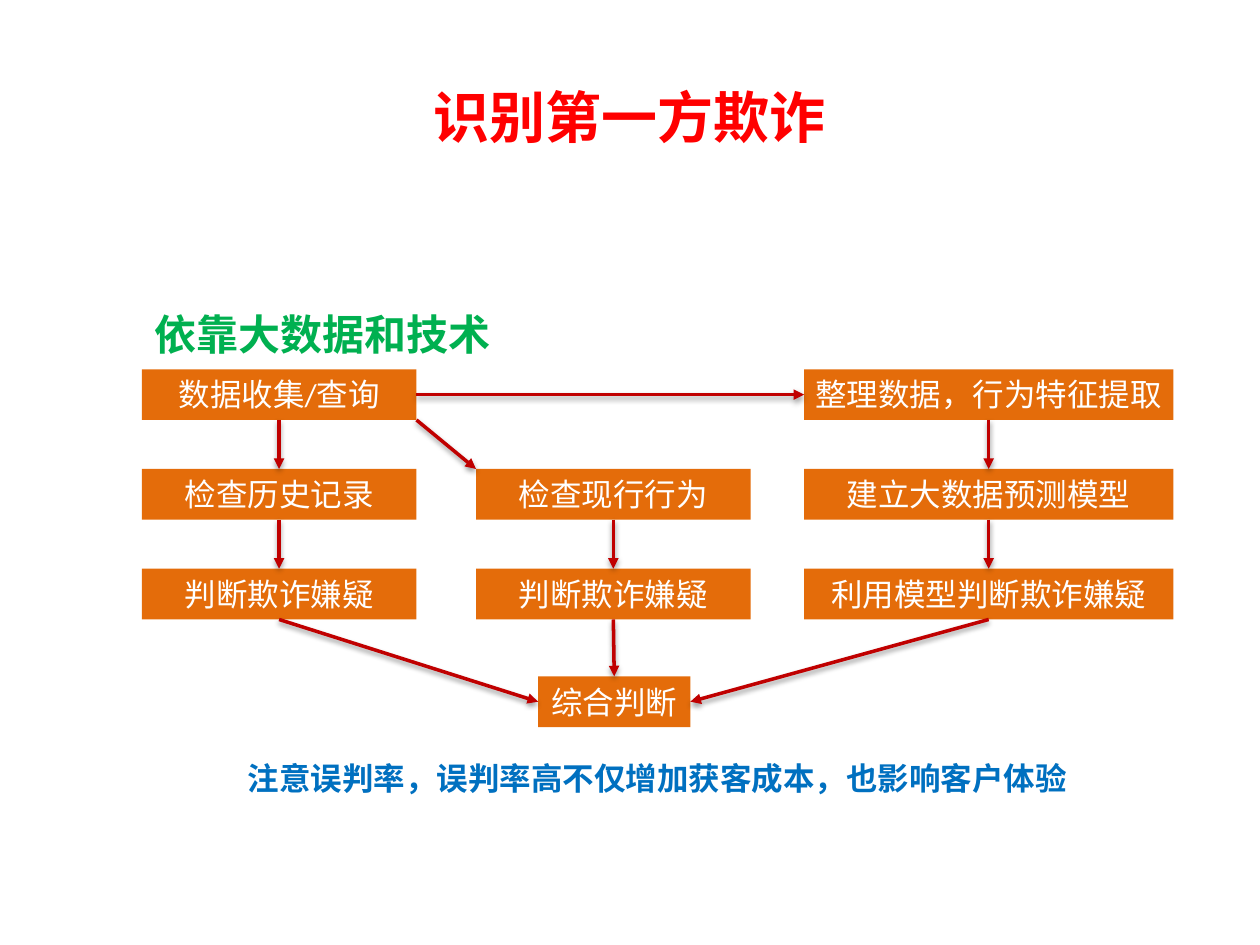
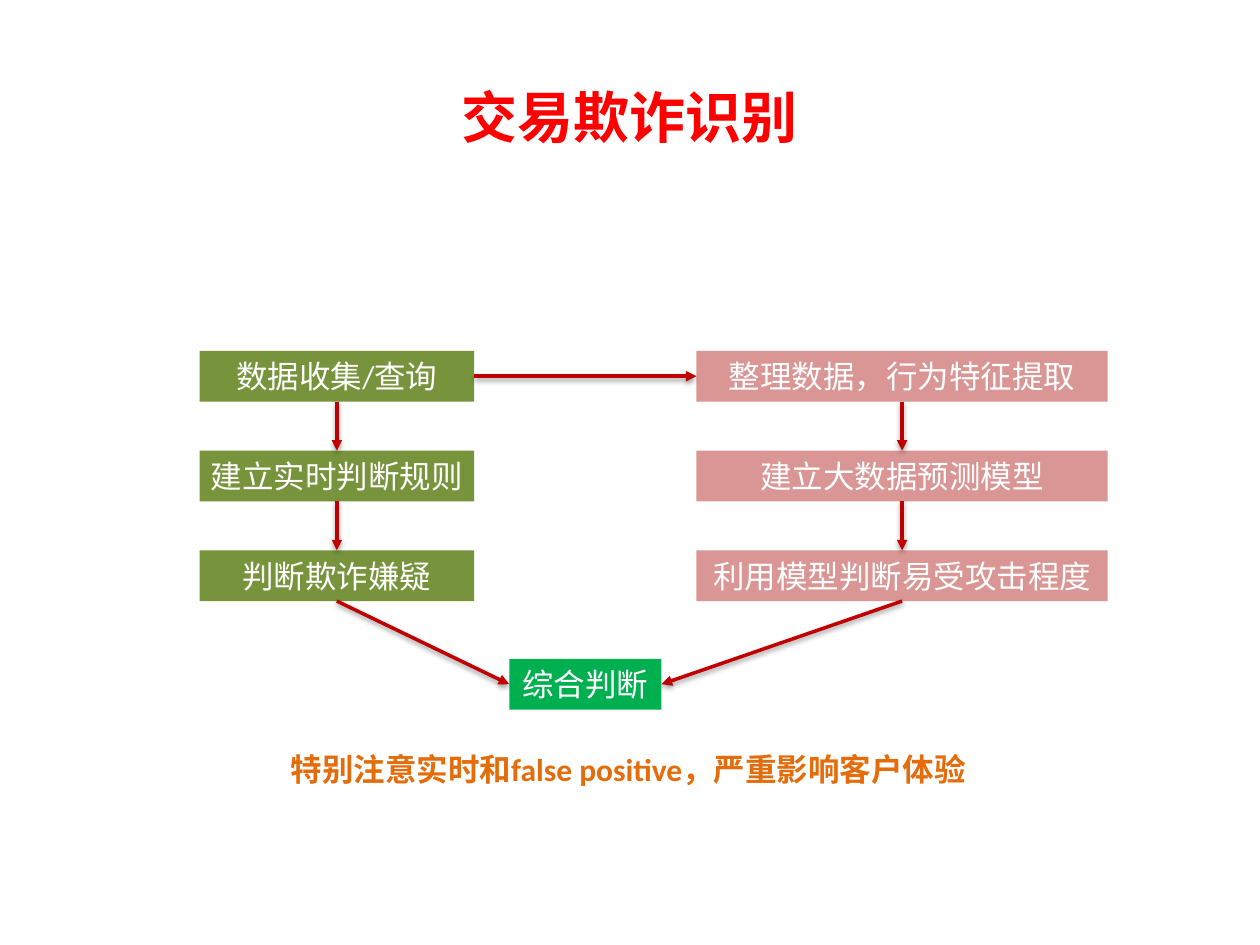
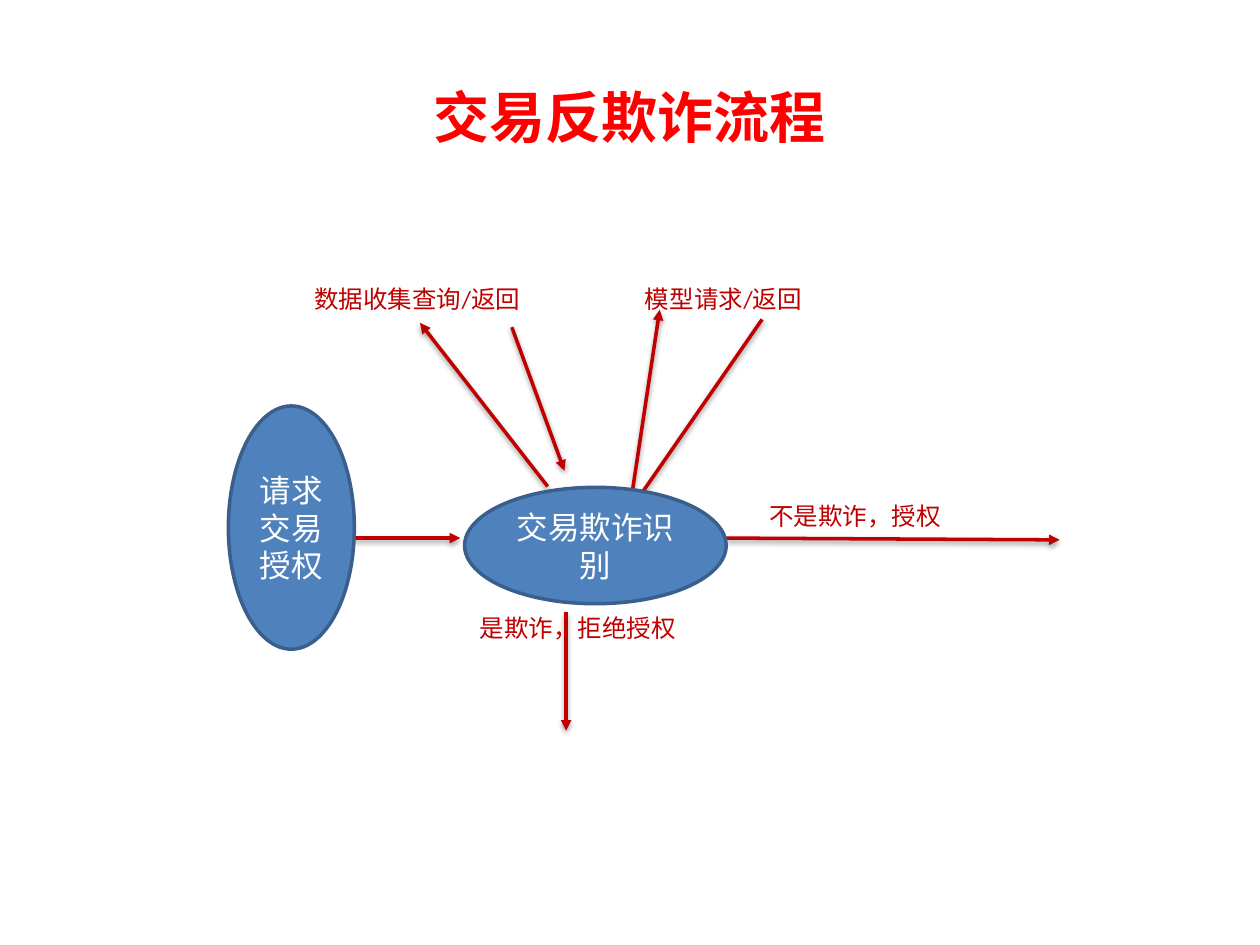
from lxml import etree
from pptx import Presentation
from pptx.dml.color import RGBColor
from pptx.enum.shapes import MSO_CONNECTOR as Line, MSO_SHAPE as Form
from pptx.enum.text import MSO_ANCHOR as Anchor, PP_ALIGN as Align
from pptx.oxml import parse_xml
from pptx.oxml.ns import qn
from pptx.util import Pt

RED, DARK, WHITE = "FF0000", "C00000", "FFFFFF"
ORANGE, GREEN, BLUE = "E46C0A", "00B050", "0070C0"
OLIVE, ROSE, STEEL, NAVY = "77933C", "D99694", "4F81BD", "3A5F8C"
FONT = "Calibri"
TOP, LEFT, BASE, RIGHT = range(4)  # connection sites of a rectangle
TALL, STEP = 29, 57  # height of a box, distance from box to box
SHADE = (
    '<a:effectLst xmlns:a="http://schemas.openxmlformats.org/drawingml/2006/main">'
    '<a:outerShdw blurRad="39370" dist="20320" dir="5400000" rotWithShape="0">'
    '<a:srgbClr val="000000"><a:alpha val="38000"/></a:srgbClr>'
    '</a:outerShdw></a:effectLst>')


def color(code):
    return RGBColor.from_string(code)


def write(shape, text, size=18, ink=WHITE, bold=False, align=Align.LEFT,
          anchor=Anchor.TOP, wrap=False):
    frame = shape.text_frame
    frame.word_wrap = wrap
    frame.vertical_anchor = anchor
    para = frame.paragraphs[0]
    para.alignment = align
    run = para.add_run()
    run.text = text
    font = run.font
    font.name, font.size, font.bold = FONT, Pt(size), bold
    font.color.rgb = color(ink)


class Deck:
    def __init__(self):
        self.prs = Presentation()
        self.prs.slide_width, self.prs.slide_height = Pt(720), Pt(540)
        self.slide = None

    def page(self, title):
        self.slide = self.prs.slides.add_slide(self.prs.slide_layouts[6])
        self.label(title, 36, 21.6, 648, 90, size=32, ink=RED, bold=True,
                   align=Align.CENTER, anchor=Anchor.MIDDLE, wrap=True)

    def label(self, text, x, y, w, h, **style):
        box = self.slide.shapes.add_textbox(Pt(x), Pt(y), Pt(w), Pt(h))
        write(box, text, **style)

    def node(self, form, text, x, y, w, h, fill, edge=None, **style):
        shape = self.slide.shapes.add_shape(form, Pt(x), Pt(y), Pt(w), Pt(h))
        shape.shadow.inherit = False
        shape.fill.solid()
        shape.fill.fore_color.rgb = color(fill)
        if edge:
            shape.line.color.rgb = color(edge)
            shape.line.width = Pt(2)
        else:
            shape.line.fill.background()
        write(shape, text, align=Align.CENTER, **style)
        return shape

    def box(self, text, x, y, w, fill):
        return self.node(Form.RECTANGLE, text, x, y, w, TALL, fill)

    def oval(self, text, x, y, w, h):
        return self.node(Form.OVAL, text, x, y, w, h, STEEL, NAVY,
                         anchor=Anchor.MIDDLE, wrap=True)

    def arrow(self, x1=0, y1=0, x2=0, y2=0):
        line = self.slide.shapes.add_connector(
            Line.STRAIGHT, Pt(x1), Pt(y1), Pt(x2), Pt(y2))
        line.line.color.rgb = color(DARK)
        line.line.width = Pt(2)
        etree.SubElement(line.line._get_or_add_ln(), qn("a:tailEnd"),
                         type="triangle")
        line._element.spPr.append(parse_xml(SHADE))
        return line

    def link(self, start, out, end, into):
        line = self.arrow()
        line.begin_connect(start, out)
        line.end_connect(end, into)

    def chain(self, texts, x, y, w, fill):
        """Stack boxes downwards, joined by arrows, and return them."""
        boxes = [self.box(text, x, y + i * STEP, w, fill)
                 for i, text in enumerate(texts)]
        for upper, lower in zip(boxes, boxes[1:]):
            self.link(upper, BASE, lower, TOP)
        return boxes

    def merge(self, left, right, x, y, fill):
        """Join the two outer chains across the top and in a final box."""
        self.link(left[0], RIGHT, right[0], LEFT)
        final = self.box("综合判断", x, y, 87, fill)
        self.link(left[-1], BASE, final, LEFT)
        self.link(right[-1], BASE, final, RIGHT)
        return final


def first(deck):
    deck.page("识别第一方欺诈")
    deck.label("依靠大数据和技术", 81, 173, 209.5, 36.5,
               size=24, ink=GREEN, bold=True)
    left = deck.chain(["数据收集/查询", "检查历史记录", "判断欺诈嫌疑"],
                      81, 211, 157, ORANGE)
    mid = deck.chain(["检查现行行为", "判断欺诈嫌疑"],
                     272, 211 + STEP, 157, ORANGE)
    right = deck.chain(["整理数据，行为特征提取", "建立大数据预测模型",
                        "利用模型判断欺诈嫌疑"], 459.5, 211, 211, ORANGE)
    final = deck.merge(left, right, 307.5, 386.5, ORANGE)
    deck.link(mid[-1], BASE, final, TOP)
    deck.arrow(238, 211 + TALL, 272, 211 + STEP)
    deck.label("注意误判率，误判率高不仅增加获客成本，也影响客户体验",
               134.5, 430, 487.5, TALL, ink=BLUE, bold=True)


def second(deck):
    deck.page("交易欺诈识别")
    left = deck.chain(["数据收集/查询", "建立实时判断规则", "判断欺诈嫌疑"],
                      114, 200.5, 157, OLIVE)
    right = deck.chain(["整理数据，行为特征提取", "建立大数据预测模型",
                        "利用模型判断易受攻击程度"], 398, 200.5, 235, ROSE)
    deck.merge(left, right, 291, 376.5, GREEN)
    deck.label("特别注意实时和false positive，严重影响客户体验",
               159, 425, 406, TALL, ink=ORANGE, bold=True, wrap=True)


def third(deck):
    deck.page("交易反欺诈流程")
    for ends in [(202, 307.5, 263, 307.5), (323.5, 350, 323.5, 417.5),
                 (415, 307.5, 605.5, 308.5), (313, 278, 240, 184.5),
                 (292.5, 187, 322.5, 269), (361.5, 280, 377, 177),
                 (435.5, 182.5, 363.5, 286.5)]:
        deck.arrow(*ends)
    for text, x, y, w in [("是欺诈，拒绝授权", 267, 347, 127.5),
                          ("不是欺诈，授权", 432.5, 283, 113),
                          ("数据收集查询/返回", 172.5, 158.5, 171.5),
                          ("模型请求/返回", 361.5, 158.5, 149)]:
        deck.label(text, x, y, w, 24.5, size=14, ink=DARK, wrap=True)
    deck.oval("请求交易授权", 130.5, 232, 72, 139)
    deck.oval("交易欺诈识别", 265.5, 278.5, 149.5, 66.5)


def main():
    deck = Deck()
    for build in (first, second, third):
        build(deck)
    deck.prs.save("out.pptx")


if __name__ == "__main__":
    main()
